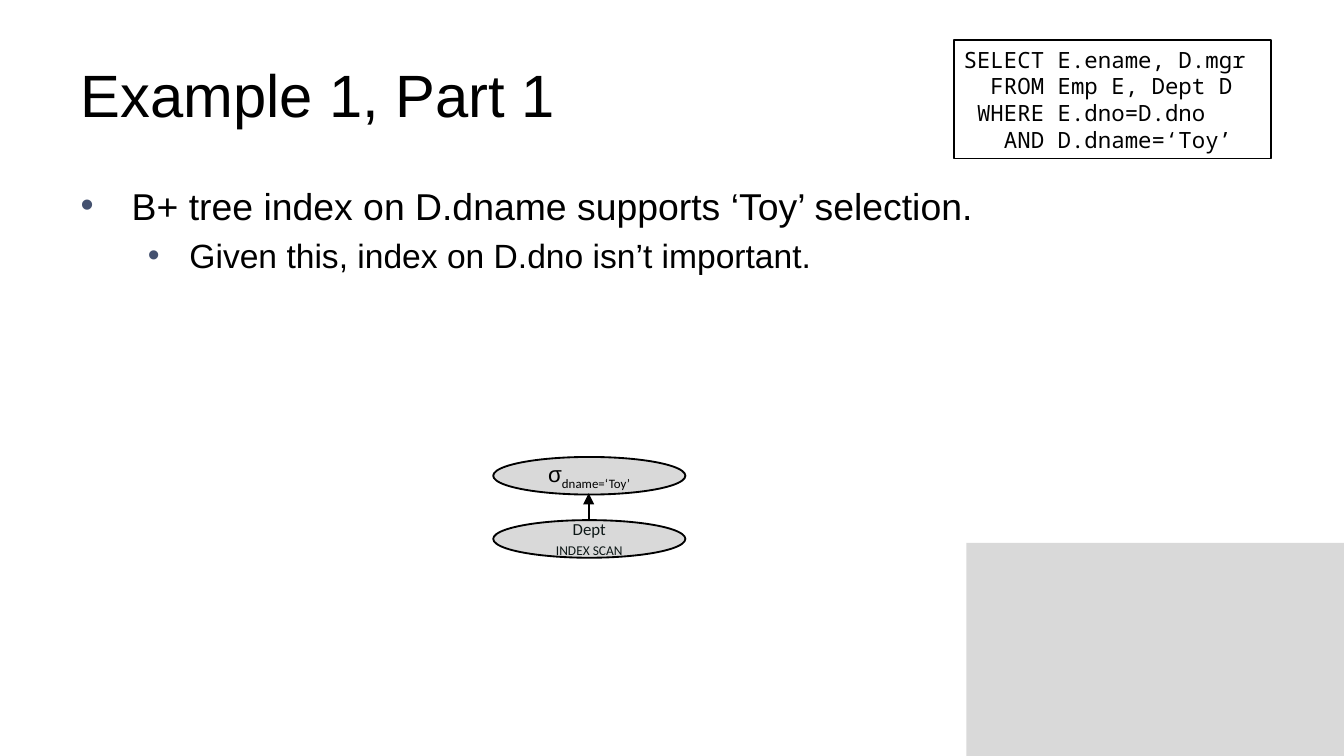
from lxml.etree import SubElement
from pptx import Presentation
from pptx.dml.color import RGBColor
from pptx.enum.shapes import MSO_CONNECTOR, MSO_SHAPE
from pptx.enum.text import MSO_ANCHOR, MSO_AUTO_SIZE, PP_ALIGN
from pptx.oxml.ns import qn
from pptx.util import Inches, Pt

HUES = {"black": "000000", "gray": "D9D9D9", "dot": "44516F", "ink": "0E1817"}


def style(font, name, size, hue):
    font.name, font.size = name, Pt(size)
    font.color.rgb = RGBColor.from_string(HUES[hue])


def draw(kind, box, fill, line):
    shape = slide.shapes.add_shape(kind, *map(Inches, box))
    shape.shadow.inherit = False
    shape.fill.background()
    shape.line.fill.background()
    if fill:
        shape.fill.solid()
        shape.fill.fore_color.rgb = RGBColor.from_string(HUES[fill])
    if line:
        shape.line.color.rgb = RGBColor.from_string(HUES[line])
        shape.line.width = Pt(1)
    frame = shape.text_frame
    frame.word_wrap = True
    frame.margin_left = frame.margin_right = Inches(0.07)
    frame.margin_top = frame.margin_bottom = Inches(0.04)
    return shape


deck = Presentation()
deck.slide_width = Inches(10)
deck.slide_height = Inches(10 * 9 / 16)
slide = deck.slides.add_slide(deck.slide_layouts[1])

panel = draw(MSO_SHAPE.RECTANGLE, (7.19, 4.04, 2.81, 1.59), "gray", None)
slide.shapes._spTree.insert(2, panel._element)

title = slide.shapes.title
title.left, title.top, title.width, title.height = map(Inches, (0.5, 0.23, 9, 0.94))
frame = title.text_frame
frame.text = "Example 1, Part 1"
frame.vertical_anchor = MSO_ANCHOR.MIDDLE
frame.paragraphs[0].alignment = PP_ALIGN.LEFT
style(frame.paragraphs[0].runs[0].font, "Arial", 32, "black")

body = slide.placeholders[1]
body.left, body.top, body.width, body.height = map(Inches, (0.5, 1.31, 9, 3.71))
frame = body.text_frame
frame.auto_size = MSO_AUTO_SIZE.NONE
frame.text = "B+ tree index on D.dname supports ‘Toy’ selection.\nGiven this, index on D.dno isn’t important."
looks = [(0.38, 0.38, 20, 0), (0.81, 0.31, 18, 4)]
for level, (para, (left, hang, size, gap)) in enumerate(zip(frame.paragraphs, looks)):
    para.level = level
    para.space_before = Pt(gap)
    props = para._p.get_or_add_pPr()
    props.set("marL", str(Inches(left)))
    props.set("indent", str(-Inches(hang)))
    SubElement(SubElement(props, qn("a:buClr")), qn("a:srgbClr"), val=HUES["dot"])
    SubElement(props, qn("a:buFont"), typeface="Arial")
    SubElement(props, qn("a:buChar"), char="•")
    style(para.runs[0].font, "Arial", size, "black")

query = draw(MSO_SHAPE.RECTANGLE, (7.1, 0.3, 2.36, 0.88), None, "black")
frame = query.text_frame
frame.auto_size = MSO_AUTO_SIZE.SHAPE_TO_FIT_TEXT
frame.vertical_anchor = MSO_ANCHOR.TOP
frame.text = "SELECT E.ename, D.mgr\n  FROM Emp E, Dept D\n WHERE E.dno=D.dno\v   AND D.dname=‘Toy’"
for para in frame.paragraphs:
    para.alignment = PP_ALIGN.LEFT
    for run in para.runs:
        style(run.font, "Noto Sans Mono", 12, "black")

scan, pick = [draw(MSO_SHAPE.OVAL, (3.67, top, 1.43, 0.28), "gray", "black") for top in (3.87, 3.4)]
for node in (scan, pick):
    node.text_frame.vertical_anchor = MSO_ANCHOR.MIDDLE

scan.text_frame.text = "Dept\nindex scan"
for para in scan.text_frame.paragraphs:
    para.alignment = PP_ALIGN.CENTER
    style(para.runs[0].font, "Calibri", 9, "ink")
para.runs[0].font._element.set("cap", "small")

para = pick.text_frame.paragraphs[0]
para.alignment = PP_ALIGN.CENTER
for text, name in (("σ", "Arial"), ("dname=‘Toy’", "Calibri")):
    run = para.add_run()
    run.text = text
    style(run.font, name, 12, "black")
run.font._element.set("baseline", "-25000")

mid = Inches(4.38)
arrow = slide.shapes.add_connector(MSO_CONNECTOR.STRAIGHT, mid, Inches(3.87), mid, Inches(3.67))
arrow.line.color.rgb = RGBColor.from_string(HUES["black"])
arrow.line.width = Pt(1)
SubElement(arrow.line._get_or_add_ln(), qn("a:tailEnd"), type="triangle")
SubElement(arrow._element.spPr, qn("a:effectLst"))

deck.save("out.pptx")
